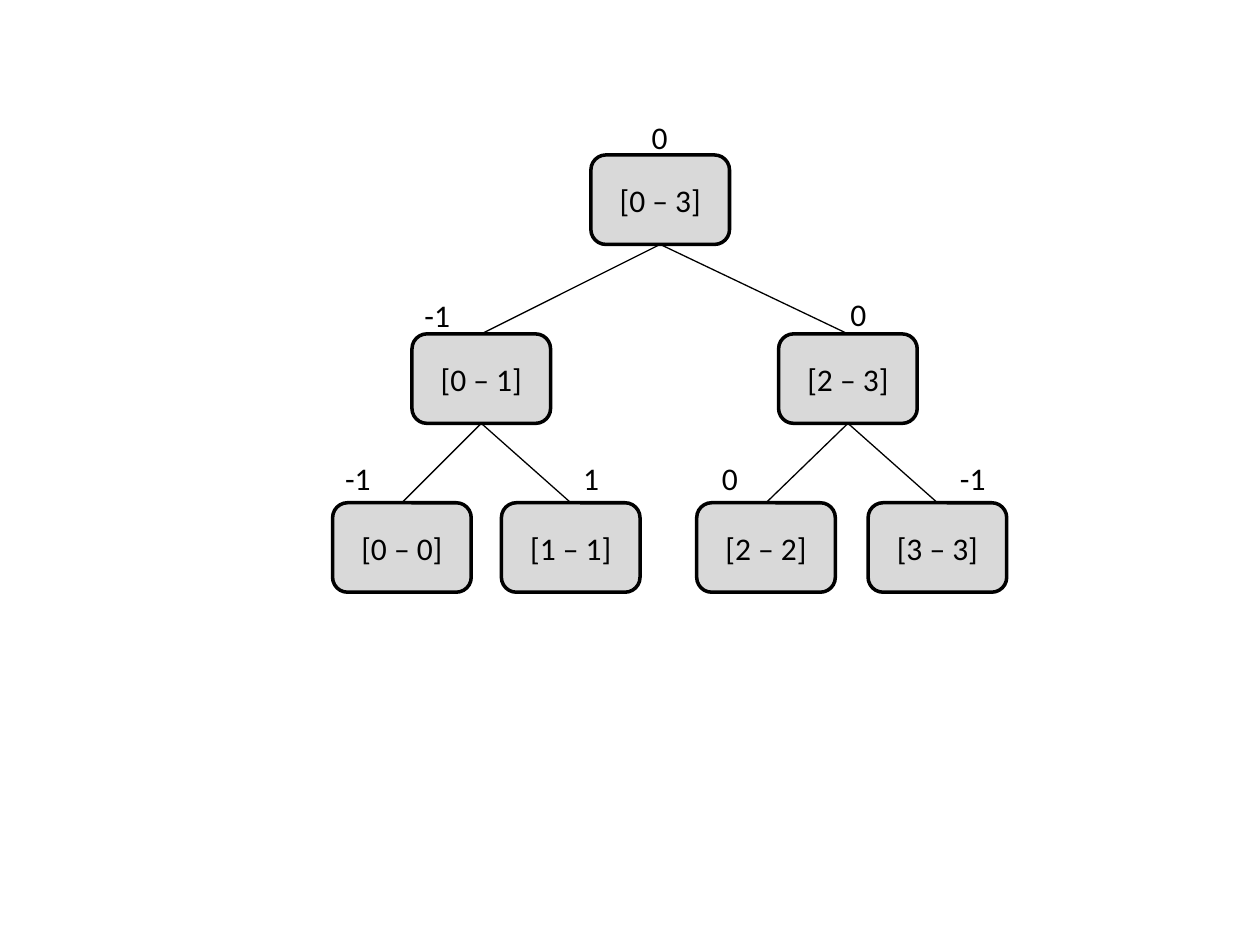
from lxml import etree
from pptx import Presentation
from pptx.dml.color import RGBColor
from pptx.enum import shapes, text
from pptx.oxml.ns import qn
from pptx.util import Inches, Pt

BLACK = RGBColor(0, 0, 0)
GREY = RGBColor(0xD9, 0xD9, 0xD9)

# Grid of square cells, 100 columns by 75 rows
COLS, ROWS = 100, 75
CELL = Inches(0.1)
NODE_W, NODE_H = 11, 7.1
TAG_W, TAG_H = 5.5, 4
LEVELS = (12.3, 26.5, 39.9)

# Range: level, left column, parent, tag, tag column, tag row
TREE = {
    "[0 – 3]": (0, 46.9, None, "0", 49.6, 8.9),
    "[0 – 1]": (1, 32.7, "[0 – 3]", "-1", 32.7, 23),
    "[2 – 3]": (1, 61.8, "[0 – 3]", "0", 66.5, 22.9),
    "[0 – 0]": (2, 26.4, "[0 – 1]", "-1", 26.4, 35.9),
    "[1 – 1]": (2, 39.8, "[0 – 1]", "1", 45.3, 35.9),
    "[2 – 2]": (2, 55.3, "[2 – 3]", "0", 56.3, 35.9),
    "[3 – 3]": (2, 68.9, "[2 – 3]", "-1", 75.2, 35.9),
}
TOP, BOTTOM = 0, 2  # connection sites of a node


def grid(*cells):
    return [round(n * CELL) for n in cells]


def write(frame, words, align):
    par = frame.paragraphs[0]
    par.alignment = align
    run = par.add_run()
    run.text = words
    run.font.name = "Calibri"
    run.font.size = Pt(18)
    run.font.color.rgb = BLACK


def add_node(slide, name, col, row):
    node = slide.shapes.add_shape(shapes.MSO_SHAPE.ROUNDED_RECTANGLE,
                                  *grid(col, row, NODE_W, NODE_H))
    node.shadow.inherit = False
    node.fill.solid()
    node.fill.fore_color.rgb = GREY
    node.line.color.rgb = BLACK
    node.line.width = Pt(2)
    node.text_frame.vertical_anchor = text.MSO_ANCHOR.MIDDLE
    write(node.text_frame, name, text.PP_ALIGN.CENTER)
    return node


def add_edge(slide, child, parent):
    edge = slide.shapes.add_connector(shapes.MSO_CONNECTOR.STRAIGHT, 0, 0, 0, 0)
    edge.begin_connect(child, TOP)
    edge.end_connect(parent, BOTTOM)
    edge.line.color.rgb = BLACK
    edge.line.width = Pt(0.75)
    etree.SubElement(edge._element.spPr, qn("a:effectLst"))


def add_tag(slide, words, col, row, align):
    box = slide.shapes.add_textbox(*grid(col, row, TAG_W, TAG_H))
    box.text_frame.word_wrap = True
    box.text_frame.auto_size = text.MSO_AUTO_SIZE.SHAPE_TO_FIT_TEXT
    write(box.text_frame, words, align)


def main():
    prs = Presentation()
    prs.slide_width, prs.slide_height = grid(COLS, ROWS)
    slide = prs.slides.add_slide(prs.slide_layouts[6])

    # Nodes
    nodes = {name: add_node(slide, name, col, LEVELS[level])
             for name, (level, col, *_) in TREE.items()}

    # Edges and balance tags; only the root's tag is centred
    for name, (_, _, parent, tag, col, row) in TREE.items():
        if parent:
            add_edge(slide, nodes[name], nodes[parent])
        align = text.PP_ALIGN.LEFT if parent else text.PP_ALIGN.CENTER
        add_tag(slide, tag, col, row, align)

    prs.save("out.pptx")


main()
